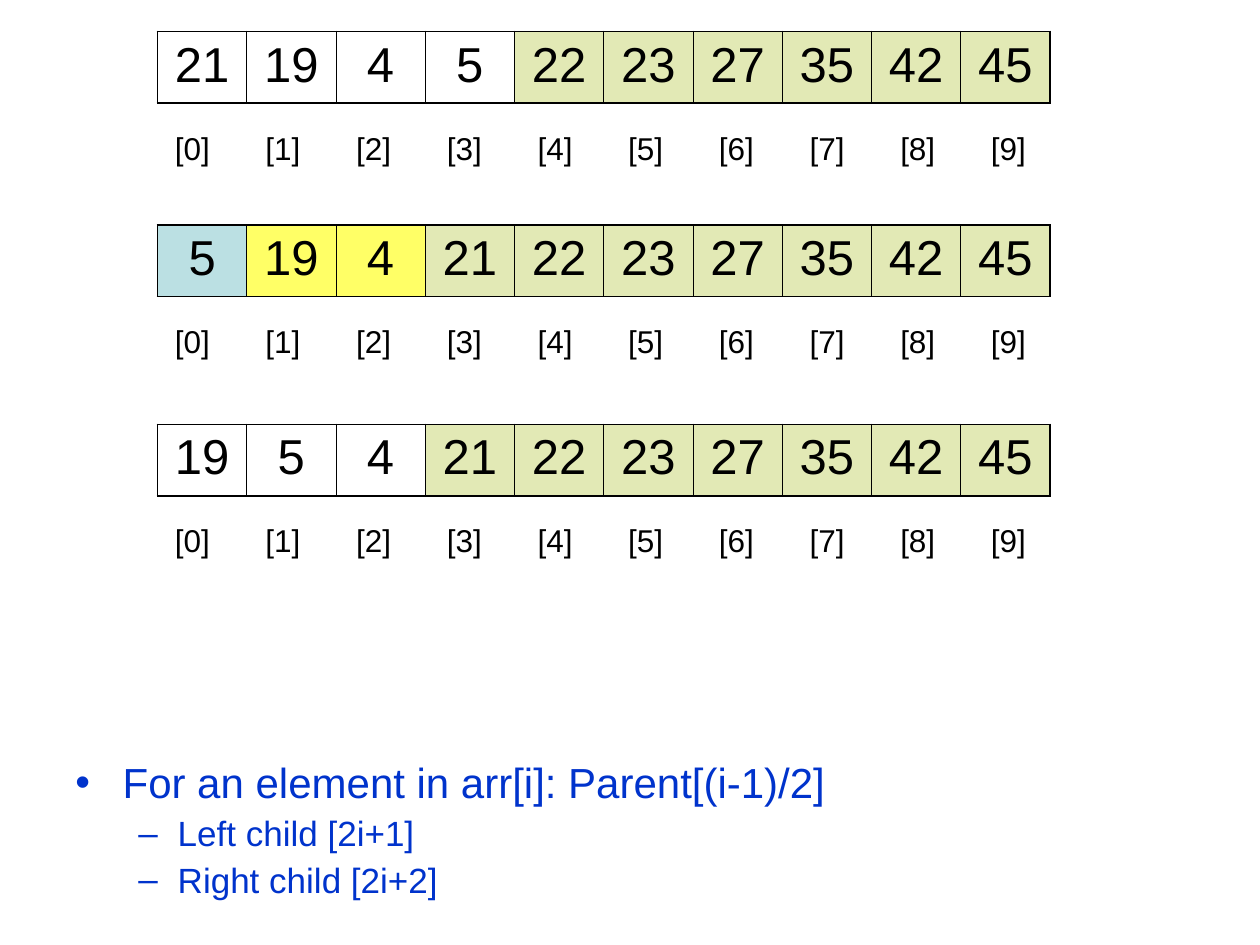
from dataclasses import dataclass

from pptx import Presentation
from pptx.dml.color import RGBColor
from pptx.enum.text import MSO_ANCHOR as Anchor, PP_ALIGN as Align
from pptx.oxml.ns import qn
from pptx.oxml.xmlchemy import OxmlElement as Element
from pptx.util import Pt

PLAIN_TABLE = "{2D5ABB26-0587-4C30-8999-92F81FD0307C}"


@dataclass(frozen=True)
class Theme:
    font: str = "Arial"
    ink: str = "000000"
    note: str = "0033CC"
    settled: str = "E2E9B5"
    root: str = "BBE0E3"
    child: str = "FFFF66"
    value_size: float = 28
    index_size: float = 18
    note_sizes: tuple = (24, 20)
    outer_line: float = 1.08
    inner_line: float = 0.45


def apply(target, formats):
    for name, value in formats.items():
        setattr(target, name, value)


def add_child(parent, tag, **attributes):
    child = Element(tag)
    for name, value in attributes.items():
        child.set(name, str(value))
    parent.append(child)
    return child


class HeapSlide:
    def __init__(self, deck, theme):
        self.theme = theme
        self.slide = deck.slides.add_slide(deck.slide_layouts[6])

    def add_text(self, paragraph, text, size, color, **formats):
        run = paragraph.add_run()
        run.text = text
        apply(run.font, {"name": self.theme.font, "size": Pt(size)})
        run.font.color.rgb = RGBColor.from_string(color)
        apply(paragraph, formats)

    def border(self, cell, widths):
        properties = cell._tc.get_or_add_tcPr()
        for side, width in widths.items():
            line = add_child(properties, f"a:ln{side}", w=Pt(width))
            add_child(add_child(line, "a:solidFill"), "a:srgbClr", val=self.theme.ink)

    def row(self, texts, left, top, column_width, height, size, space, anchor):
        """Add a one-row table without style and return its cells."""
        frame = self.slide.shapes.add_table(
            1, len(texts), Pt(left), Pt(top), Pt(column_width * len(texts)), Pt(height))
        table = frame.table
        apply(table, {"first_row": False, "horz_banding": False})
        table._tbl.tblPr.find(qn("a:tableStyleId")).text = PLAIN_TABLE
        cells = list(table.rows[0].cells)
        for column, cell, text in zip(table.columns, cells, texts):
            column.width = Pt(column_width)
            cell.vertical_anchor = anchor
            self.add_text(cell.text_frame.paragraphs[0], text, size, self.theme.ink,
                          alignment=Align.CENTER, space_before=Pt(space))
        return cells

    def values(self, numbers, fills, top):
        outer, inner = self.theme.outer_line, self.theme.inner_line
        cells = self.row([str(n) for n in numbers], 90, top, 51, 41,
                         self.theme.value_size, 7, Anchor.TOP)
        for cell, fill in zip(cells, fills):
            self.border(cell, {"L": outer if cell is cells[0] else inner,
                               "R": outer if cell is cells[-1] else inner,
                               "T": outer, "B": outer})
            if fill:
                cell.fill.solid()
                cell.fill.fore_color.rgb = RGBColor.from_string(fill)
            else:
                cell.fill.background()

    def indexes(self, count, top):
        cells = self.row([f"[{i}]" for i in range(count)], 84, top, 51.84, 28.8,
                         self.theme.index_size, 4.5, Anchor.MIDDLE)
        for cell in cells:
            cell.fill.background()

    def bullets(self, items, left, top, width, height):
        """Add (level, text) items as a bulleted list."""
        frame = self.slide.shapes.add_textbox(
            Pt(left), Pt(top), Pt(width), Pt(height)).text_frame
        frame.word_wrap = True
        marks = (("•", 27, 27, 6), ("–", 58.5, 22.5, 5))
        for number, (level, text) in enumerate(items):
            paragraph = frame.add_paragraph() if number else frame.paragraphs[0]
            mark, margin, hanging, space = marks[level]
            self.add_text(paragraph, text, self.theme.note_sizes[level], self.theme.note,
                          level=level, line_spacing=0.9, space_before=Pt(space))
            properties = paragraph._p.get_or_add_pPr()
            properties.set("marL", str(Pt(margin)))
            properties.set("indent", str(-Pt(hanging)))
            add_child(add_child(properties, "a:buClr"), "a:srgbClr", val=self.theme.note)
            add_child(properties, "a:buFont", typeface=self.theme.font)
            add_child(properties, "a:buChar", char=mark)


def main():
    deck = Presentation()
    apply(deck, {"slide_width": Pt(720), "slide_height": Pt(540)})
    theme = Theme()
    heap = HeapSlide(deck, theme)

    settled = [22, 23, 27, 35, 42, 45]
    steps = (
        (18, [21, 19, 4, 5], [None] * 4, settled),
        (128.5, [5, 19, 4], [theme.root, theme.child, theme.child], [21] + settled),
        (242.5, [19, 5, 4], [None] * 3, [21] + settled),
    )
    for top, open_part, open_fills, sorted_part in steps:
        numbers = open_part + sorted_part
        heap.values(numbers, open_fills + [theme.settled] * len(sorted_part), top)
        heap.indexes(len(numbers), top + 52.8)

    heap.bullets([(0, "For an element in arr[i]: Parent[(i-1)/2]"),
                  (1, "Left child [2i+1]"),
                  (1, "Right child [2i+2]")], 36, 432, 648, 90)
    deck.save("out.pptx")


if __name__ == "__main__":
    main()
